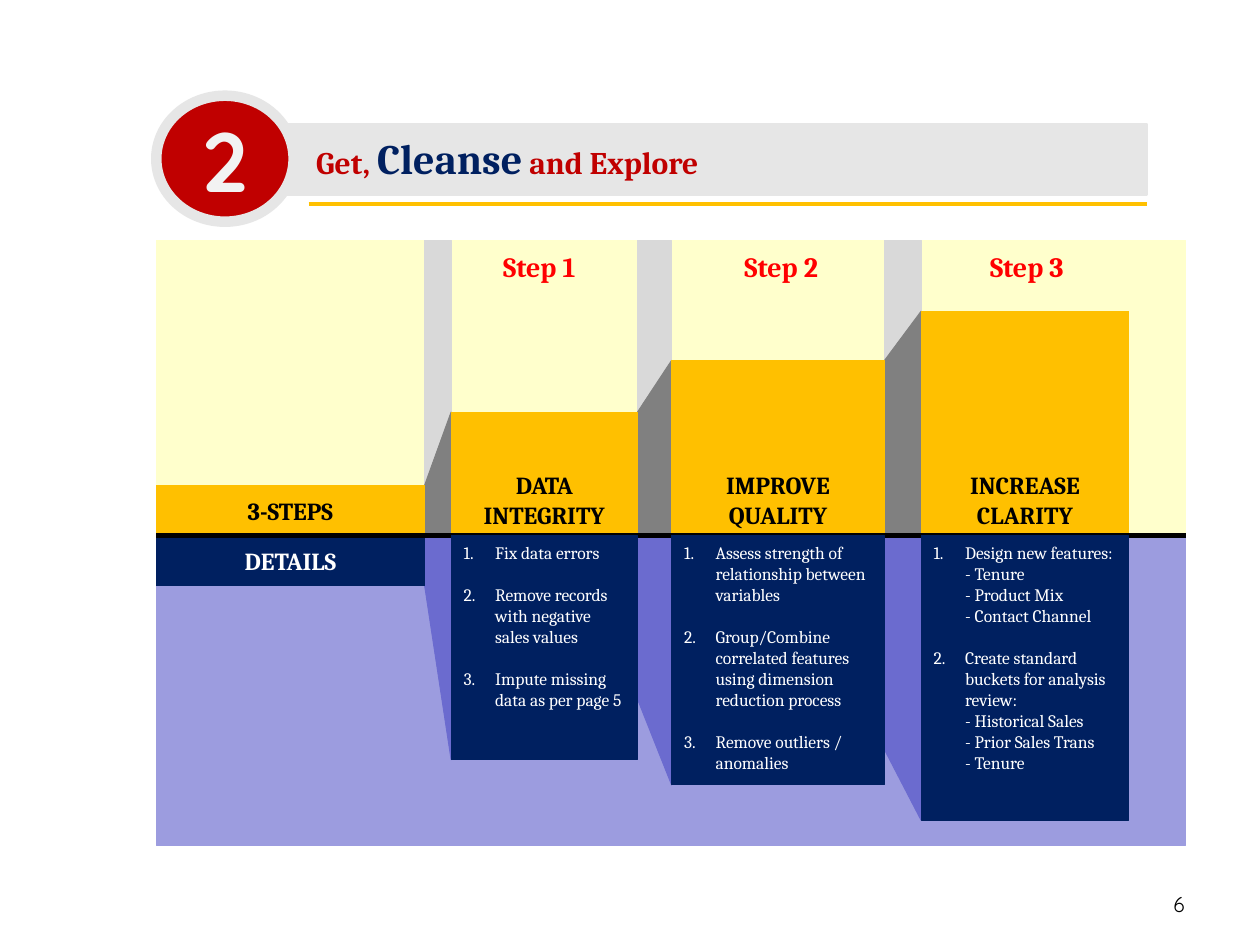
from dataclasses import dataclass
from itertools import pairwise

from lxml.etree import SubElement
from pptx import Presentation
from pptx.dml.color import RGBColor
from pptx.enum.shapes import MSO_CONNECTOR, MSO_SHAPE
from pptx.enum.text import MSO_ANCHOR, MSO_AUTO_SIZE, PP_ALIGN
from pptx.oxml.ns import qn
from pptx.util import Inches, Pt


@dataclass(frozen=True)
class Theme:
    font: str = "Cambria"
    digit: str = "Quicksand"
    red: str = "C00000"
    label: str = "FF0000"
    navy: str = "002060"
    gold: str = "FFC000"
    cream: str = "FFFFCC"
    lilac: str = "9C9CDF"
    violet: str = "6B6BCF"
    pale: str = "D9D9D9"
    gray: str = "808080"
    bar: str = "E6E6E6"
    light: str = "F2F2F2"
    white: str = "FFFFFF"
    black: str = "000000"
    small: int = 10
    note: int = 12
    head: int = 14
    step: int = 16
    title: int = 18
    big: int = 24
    badge: int = 48


@dataclass(frozen=True)
class Item:
    text: str
    subs: tuple[str, ...] = ()


@dataclass(frozen=True)
class Column:
    """One bar: it rises to top, drops to foot, and its shade turns at bend."""
    name: str
    left: float
    width: float
    top: float
    foot: float
    bend: float
    slot: int = 0
    mid: float = 0
    items: tuple[Item, ...] = ()

    @property
    def right(self) -> float:
        return self.left + self.width


T = Theme()
LEFT, TOP, BASE, WIDE, END = 1.24, 1.91, 4.25, 8.17, 6.71
COLUMNS = (
    Column("3-STEPS", LEFT, 2.13, 3.85, 4.65, 4.65),
    Column("DATA INTEGRITY", 3.58, 1.48, 3.27, 6.03, 5.55, 1, 4.28, (
        Item("Fix data errors"),
        Item("Remove records with negative sales values"),
        Item("Impute missing data as per page 5"))),
    Column("IMPROVE QUALITY", 5.33, 1.69, 2.86, 6.23, 5.95, 2, 6.2, (
        Item("Assess strength of relationship between variables"),
        Item("Group/Combine correlated features using dimension reduction process"),
        Item("Remove outliers / anomalies"))),
    Column("INCREASE CLARITY", 7.31, 1.65, 2.47, 6.51, 6.51, 4, 8.15, (
        Item("Design new features:", ("Tenure", "Product Mix", "Contact Channel")),
        Item("Create standard buckets for analysis review:",
             ("Historical Sales", "Prior Sales Trans", "Tenure")))),
)

deck = Presentation()
deck.slide_width, deck.slide_height = Inches(10), Inches(7.5)
slide = deck.slides.add_slide(deck.slide_layouts.get_by_name("Comparison"))
shapes = slide.shapes


def style(font, size: int, color: str, bold: bool = True, name: str = T.font) -> None:
    font.name, font.size, font.bold = name, Pt(size), bold
    font.color.rgb = RGBColor.from_string(color)


def paint(shape, fill: str, edge: str = "", weight: float = 0.5) -> None:
    shape.fill.solid()
    shape.fill.fore_color.rgb = RGBColor.from_string(fill)
    shape.line.color.rgb = RGBColor.from_string(edge or fill)
    shape.line.width = Pt(weight)


def block(x: float, y: float, w: float, h: float, fill: str, edge: str = "",
          weight: float = 0.5, kind=MSO_SHAPE.RECTANGLE):
    shape = shapes.add_shape(kind, Inches(x), Inches(y), Inches(w), Inches(h))
    shape.shadow.inherit = False
    paint(shape, fill, edge, weight)
    return shape


def wedge(x: float, y: float, w: float, h: float, fill: str, turn: int) -> None:
    """Fill a corner of the drawn box with a right triangle turned clockwise."""
    if turn % 180:
        x, y, w, h = x + (w - h) / 2, y + (h - w) / 2, h, w
    block(x, y, w, h, fill, kind=MSO_SHAPE.RIGHT_TRIANGLE).rotation = turn


def write(shape, text: str, size: int, color: str, anchor=MSO_ANCHOR.MIDDLE,
          align=PP_ALIGN.CENTER, bold: bool = True, name: str = T.font) -> None:
    frame = shape.text_frame
    frame.text, frame.word_wrap, frame.vertical_anchor = text, True, anchor
    frame.paragraphs[0].alignment = align
    style(frame.paragraphs[0].runs[0].font, size, color, bold, name)


def label(x: float, y: float, w: float, text: str, *look, **more) -> None:
    box = shapes.add_textbox(Inches(x), Inches(y), Inches(w), Inches(0.37))
    write(box, text, *look, anchor=MSO_ANCHOR.TOP, **more)


def rule(x: float, y: float, end: float, color: str, weight: float) -> None:
    line = shapes.add_connector(MSO_CONNECTOR.STRAIGHT, Inches(x), Inches(y),
                                Inches(end), Inches(y))
    line.line.color.rgb = RGBColor.from_string(color)
    line.line.width = Pt(weight)
    SubElement(line._element.spPr, qn("a:effectLst"))


def place(holder, x: float, y: float, w: float, h: float) -> None:
    """Move a placeholder and bring it to the front."""
    holder.left, holder.top = Inches(x), Inches(y)
    holder.width, holder.height = Inches(w), Inches(h)
    holder.text_frame.auto_size = MSO_AUTO_SIZE.NONE
    shapes._spTree.append(holder._element)


def entry(para, text: str, number: int = 0) -> None:
    """Write a numbered entry, or a plain indented one when number is 0."""
    para.text = text
    props = para._p.get_or_add_pPr()
    props.set("marL", str(Inches(0.25)))
    props.set("indent", str(-Inches(0.25) if number else 0))
    para.alignment = PP_ALIGN.LEFT
    para.space_before = Pt(T.note if number > 1 else 0)
    if number:
        SubElement(props, qn("a:buAutoNum"), type="arabicPeriod", startAt=str(number))
    else:
        SubElement(props, qn("a:buNone"))
    style(para.runs[0].font, T.small, T.white, False)


def details(col: Column) -> None:
    holder = slide.placeholders[col.slot]
    place(holder, col.left, BASE, col.width, col.foot - BASE)
    paint(holder, T.navy)
    frame = holder.text_frame
    frame.vertical_anchor = MSO_ANCHOR.TOP
    rows = [row for n, item in enumerate(col.items, 1)
            for row in [(item.text, n), *((f"- {sub}", 0) for sub in item.subs)]]
    for i, (text, number) in enumerate(rows):
        entry(frame.add_paragraph() if i else frame.paragraphs[0], text, number)


def shade(a: Column, b: Column) -> None:
    """Join two neighbouring bars above and below the base line."""
    x, w = a.right, b.left - a.right
    block(x, TOP, w, b.top - TOP, T.pale)
    wedge(x, b.top, w, a.top - b.top, T.pale, 90)
    wedge(x, b.top, w, a.top - b.top, T.gray, 270)
    block(x, a.top, w, BASE - a.top, T.gray)
    block(x, BASE, w, a.bend - BASE, T.violet)
    wedge(x, a.bend, w, b.foot - a.bend, T.violet, 180)


def header() -> None:
    block(2.04, 0.99, 7.06, 0.55, T.bar, weight=2)
    badge = block(LEFT, 0.76, 1.09, 1, T.red, T.bar, 6, MSO_SHAPE.OVAL)
    write(badge, "2", T.badge, T.light, name=T.digit)
    rule(2.45, 1.62, 9.1, T.gold, 2.25)
    title = shapes.title
    place(title, 2.51, 1.05, 6.33, 0.4)
    frame = title.text_frame
    frame.margin_left = frame.margin_right = frame.margin_top = frame.margin_bottom = 0
    frame.vertical_anchor = MSO_ANCHOR.MIDDLE
    para = frame.paragraphs[0]
    para.alignment = PP_ALIGN.LEFT
    for text, size, color in (("Get, ", T.title, T.red), ("Cleanse", T.big, T.navy),
                              (" and Explore", T.title, T.red)):
        run = para.add_run()
        run.text = text
        style(run.font, size, color)


def chart() -> None:
    block(LEFT, BASE, WIDE, END - BASE, T.lilac)
    block(LEFT, TOP, WIDE, BASE - TOP, T.cream)
    for a, b in pairwise(COLUMNS):
        shade(a, b)
    first, *steps = COLUMNS
    for col in COLUMNS:
        bar = block(col.left, col.top, col.width, BASE - col.top, T.gold)
        anchor = MSO_ANCHOR.MIDDLE if col is first else MSO_ANCHOR.BOTTOM
        write(bar, col.name, T.head, T.black, anchor)
    low = block(first.left, BASE, first.width, first.foot - BASE, T.navy)
    write(low, "DETAILS", T.head, T.white)
    rule(LEFT, BASE, LEFT + WIDE, T.black, 3)
    for n, col in enumerate(steps, 1):
        label(col.mid - 0.55, 1.93, 1.1, f"Step {n}", T.step, T.label)
        details(col)


if __name__ == "__main__":
    header()
    chart()
    label(7.17, 7.03, 2.33, "6", T.note, T.black, align=PP_ALIGN.RIGHT,
          bold=False, name=T.digit)
    spare = slide.placeholders[3]._element
    spare.getparent().remove(spare)
    deck.save("out.pptx")
